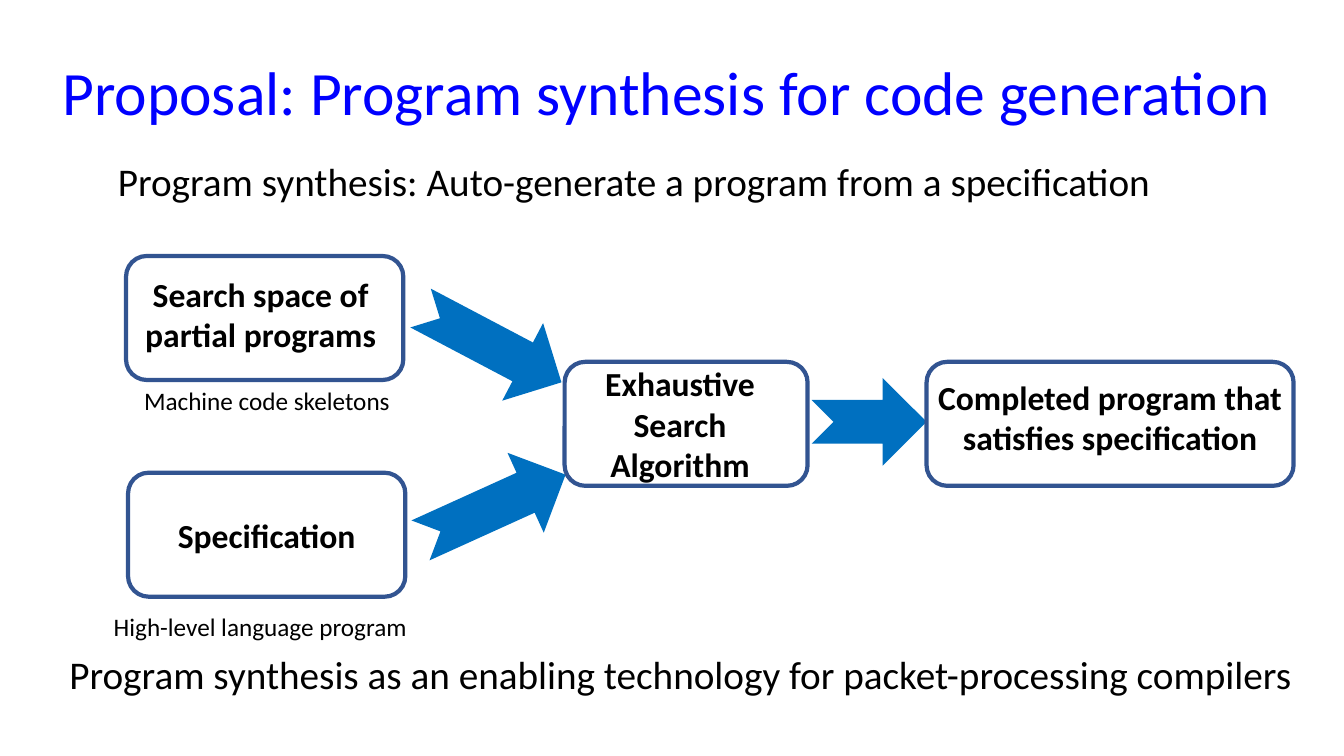
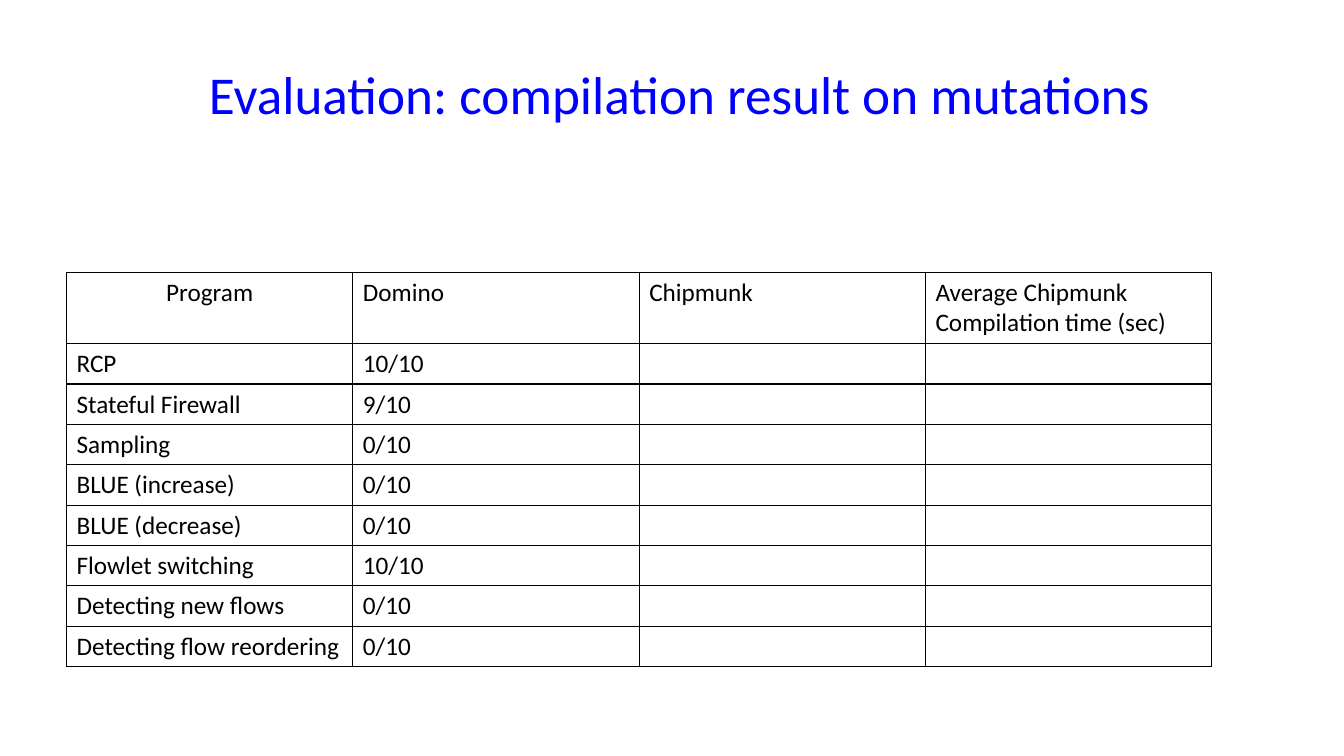
from lxml import etree
from pptx import Presentation
from pptx.dml.color import RGBColor
from pptx.enum import shapes, text
from pptx.oxml import ns
from pptx.util import Inches, Pt

FONT = "Calibri"
BLACK = RGBColor(0x00, 0x00, 0x00)
TITLE_BLUE = RGBColor(0x00, 0x00, 0xFF)
ARROW_BLUE = RGBColor(0x00, 0x70, 0xC0)
OUTLINE_BLUE = RGBColor(0x32, 0x54, 0x91)
LEFT, CENTER = text.PP_ALIGN.LEFT, text.PP_ALIGN.CENTER
TOP, MIDDLE = text.MSO_ANCHOR.TOP, text.MSO_ANCHOR.MIDDLE


def write(frame, lines, size, color=BLACK, align=LEFT, bold=False):
    """Fill a text frame with one paragraph per line."""
    frame.word_wrap = True
    for index, line in enumerate(lines):
        para = frame.add_paragraph() if index else frame.paragraphs[0]
        para.alignment = align
        span = para.add_run()
        span.text = line
        span.font.name = FONT
        span.font.size = Pt(size)
        span.font.bold = bold
        span.font.color.rgb = color


def add_text(page, place, line, size, color=BLACK, align=LEFT, anchor=TOP):
    box = page.shapes.add_textbox(*map(Inches, place))
    box.text_frame.vertical_anchor = anchor
    write(box.text_frame, [line], size, color, align)


deck = Presentation()
deck.slide_width = Inches(13.33)
deck.slide_height = Inches(7.5)
blank = deck.slide_layouts[6]

# Slide 1: synthesis workflow
page = deck.slides.add_slide(blank)
add_text(page, (0.52, 0.49, 12.59, 0.84),
         "Proposal: Program synthesis for code generation", 44, TITLE_BLUE)
for place, line, size in [
    ((1.07, 1.51, 11.51, 0.57),
     "Program synthesis: Auto-generate a program from a specification", 28),
    ((0.59, 6.4, 12.53, 0.57),
     "Program synthesis as an enabling technology for packet-processing compilers", 28),
    ((1.33, 3.77, 2.69, 0.4), "Machine code skeletons", 18),
    ((1.03, 6.02, 3.23, 0.4), "High-level language program", 18),
]:
    add_text(page, place, line, size)

for left, top, width, angle in [
    (4.08, 2.99, 1.58, 27.8),
    (4.1, 4.6, 1.58, 335.6),
    (8.05, 3.75, 1.14, 0),
]:
    arrow = page.shapes.add_shape(
        shapes.MSO_SHAPE.NOTCHED_RIGHT_ARROW,
        Inches(left), Inches(top), Inches(width), Inches(0.87))
    arrow.rotation = angle
    arrow.shadow.inherit = False
    arrow.fill.solid()
    arrow.fill.fore_color.rgb = ARROW_BLUE
    arrow.line.fill.background()

STEP_HEIGHT = 1.23
for left, top, width, right_inset, bottom_inset, lines in [
    (1.25, 2.54, 2.75, 0.08, 0.08, ["Search space of partial programs"]),
    (1.27, 4.69, 2.75, 0, 0, ["Specification"]),
    (5.6, 3.59, 2.41, 0.12, 0, ["Exhaustive", "Search", "Algorithm"]),
    (9.19, 3.59, 3.64, 0, 0.14, ["Completed program that satisfies specification"]),
]:
    step = page.shapes.add_shape(
        shapes.MSO_SHAPE.ROUNDED_RECTANGLE,
        Inches(left), Inches(top), Inches(width), Inches(STEP_HEIGHT))
    step.shadow.inherit = False
    step.fill.background()
    step.line.color.rgb = OUTLINE_BLUE
    step.line.width = Pt(3)
    frame = step.text_frame
    frame.margin_left = frame.margin_top = 0
    frame.margin_right = Inches(right_inset)
    frame.margin_bottom = Inches(bottom_inset)
    frame.vertical_anchor = MIDDLE
    write(frame, lines, 24, align=CENTER, bold=True)

# Slide 2: results table
page = deck.slides.add_slide(blank)
add_text(page, (0.32, 0.3, 12.84, 1.25),
         "Evaluation: compilation result on mutations", 38, TITLE_BLUE, CENTER, MIDDLE)

results = [
    ("Program", "Domino", "Chipmunk", "Average Chipmunk Compilation time (sec)"),
    ("RCP", "10/10", "", ""),
    ("Stateful Firewall", "9/10", "", ""),
    ("Sampling", "0/10", "", ""),
    ("BLUE (increase)", "0/10", "", ""),
    ("BLUE (decrease)", "0/10", "", ""),
    ("Flowlet switching", "10/10", "", ""),
    ("Detecting new flows", "0/10", "", ""),
    ("Detecting flow reordering", "0/10", "", ""),
]
table = page.shapes.add_table(
    len(results), len(results[0]),
    Inches(0.66), Inches(2.7), Inches(11.36), Inches(3.94)).table
table.first_row = table.horz_banding = False
for column in table.columns:
    column.width = Inches(2.84)
for row_index, values in enumerate(results):
    table.rows[row_index].height = Inches(0.4 if row_index else 0.71)
    for column_index, value in enumerate(values):
        cell = table.cell(row_index, column_index)
        if value:
            centered = row_index == column_index == 0
            write(cell.text_frame, [value], 18, align=CENTER if centered else LEFT)
        else:
            cell.text_frame.paragraphs[0].font.size = Pt(18)
        properties = cell._tc.get_or_add_tcPr()
        for side in ("lnL", "lnR", "lnT", "lnB"):
            border = etree.SubElement(properties, ns.qn(f"a:{side}"), w=str(Pt(1)))
            fill = etree.SubElement(border, ns.qn("a:solidFill"))
            etree.SubElement(fill, ns.qn("a:srgbClr"), val=str(BLACK))
        cell.fill.background()

deck.save("out.pptx")
